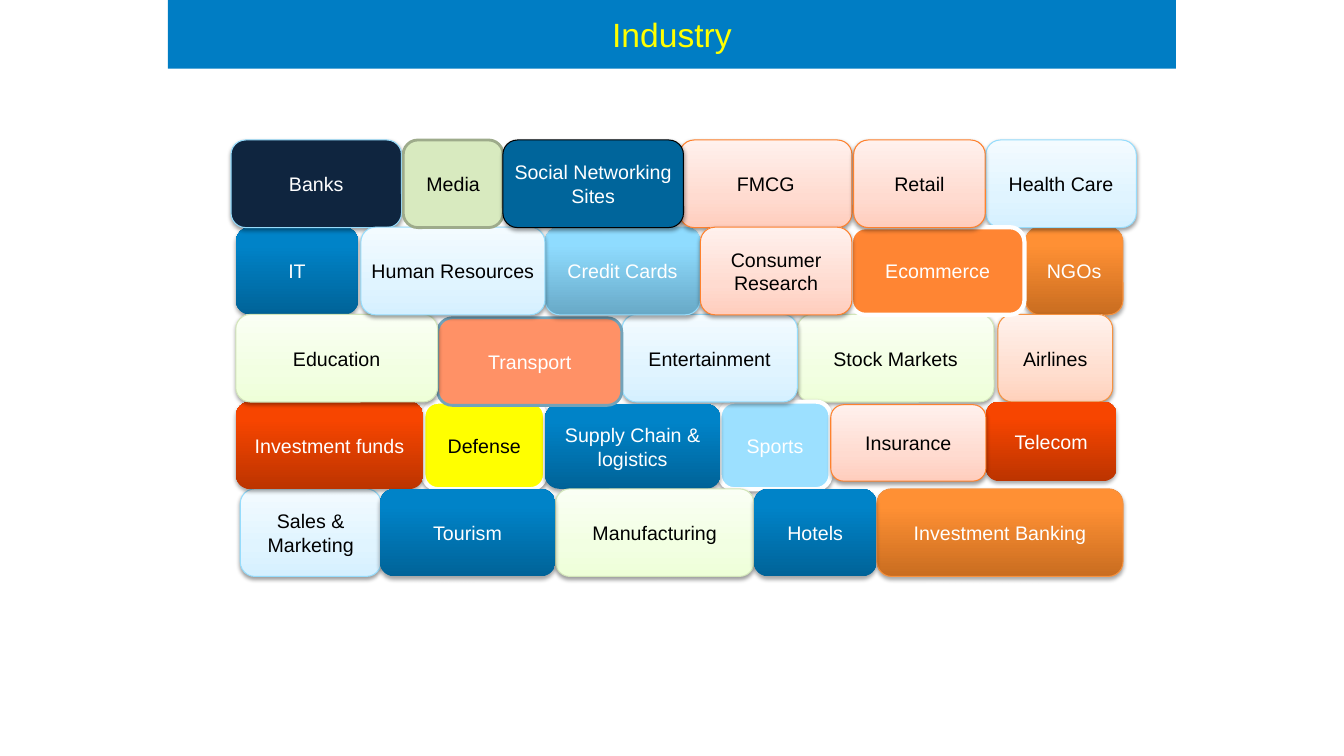
from copy import deepcopy
from dataclasses import dataclass

from pptx import Presentation
from pptx.dml.color import RGBColor
from pptx.enum.shapes import MSO_SHAPE as Kind
from pptx.enum.text import MSO_ANCHOR as Anchor, PP_ALIGN as Align
from pptx.oxml import parse_xml
from pptx.oxml.ns import nsdecls, qn
from pptx.shapes.autoshape import Shape
from pptx.util import Pt

TOP, PITCH, HIGH = 100, 62.3, 62.6
BLACK, WHITE = "000000", "FFFFFF"


@dataclass(frozen=True)
class Style:
    """Shade 38 is the soft shadow, 35 the deeper one, 0 none."""
    fills: tuple[str, ...]
    ink: str = BLACK
    line: str = ""
    weight: float = 0.75
    shade: int = 38
    mid: int = 35


@dataclass(frozen=True)
class Tile:
    text: str
    row: int
    left: float
    wide: float
    style: Style
    drop: float = 0
    high: float = HIGH


def deep(*fills: str, line: str = "") -> Style:
    return Style(fills, WHITE, line, shade=35, mid=80)


BLUE = deep("006398", "0083C8", "0083C9")
RED = deep("BC3400", "F74500", "F84500")
AMBER = deep("C96D20", "FF9034", "FF9035", line="F69240")
SKY = deep("68A9C7", "8FDCFF", "91DCFF", line="96DCFC")
ICE = Style(("D5F0FF", "E0F4FF", "F3FBFF"), line="96DCFC")
MINT = Style(("EEFFD8", "F2FFE2", "FAFFF4"), line="D3E6BA")
PEACH = Style(("FFD1BB", "FFDECF", "FFF2ED"), line="F69240")
ROSE = Style(("FFCDBD", "FFDBD0", "FFF1ED"), line="FE812D")
YELLOW = Style(("FFFF00",), line=WHITE, weight=3)
AQUA = Style(("9CE0FF",), WHITE, WHITE, 3)
NAVY = Style(("0F253F",), WHITE, "96DCFC")
OCEAN = Style(("00659B",), WHITE, BLACK)
CORAL = Style(("FF9166",), WHITE, "72A3BA", 2, 0)
ORANGE = Style(("FF8533",), WHITE, WHITE, 3, 0)
SAGE = Style(("D8EABF",), BLACK, "9EAB8B", 2, 0)

# Back to front: neighbours overlap slightly
TILES = [
    Tile("Defense", 3, 302.4, 87, YELLOW),
    Tile("NGOs", 1, 732.4, 69.8, AMBER),
    Tile("Stock Markets", 2, 569.5, 140.5, MINT),
    Tile("Airlines", 2, 712.8, 82, PEACH),
    Tile("Sports", 3, 514, 79.3, AQUA),
    Tile("Entertainment", 2, 444.3, 125.3, ICE),
    Tile("Supply Chain & logistics", 3, 389.3, 125.3, BLUE, 1.8, 60.4),
    Tile("IT", 1, 168.4, 87.6, BLUE),
    Tile("Sales & Marketing", 4, 171.6, 100.6, ICE),
    Tile("Banks", 0, 165, 121.8, NAVY),
    Tile("Health Care", 0, 704.2, 107.5, ICE),
    Tile("Telecom", 3, 704.2, 93.4, RED, 0, 56.8),
    Tile("Transport", 2, 312.6, 131.6, CORAL, 2.4),
    Tile("Investment funds", 3, 168.4, 134, RED),
    Tile("Education", 2, 168.4, 144.2, MINT),
    Tile("Credit Cards", 1, 389.3, 110.8, SKY),
    Tile("Ecommerce", 1, 607.8, 124, ORANGE),
    Tile("Human Resources", 1, 257.8, 131.4, ICE),
    Tile("Media", 0, 288, 71.4, SAGE),
    Tile("FMCG", 0, 485.4, 123.2, ROSE),
    Tile("Social Networking Sites", 0, 359.2, 129, OCEAN),
    Tile("Retail", 0, 609.8, 94, ROSE),
    Tile("Investment Banking", 4, 626.4, 175.8, AMBER),
    Tile("Consumer Research", 1, 500.3, 108.2, ROSE),
    Tile("Manufacturing", 4, 396.7, 142, MINT),
    Tile("Hotels", 4, 538.4, 87.8, BLUE),
    Tile("Tourism", 4, 271.4, 125.3, BLUE),
    Tile("Insurance", 3, 593.4, 110.8, ROSE, 2.2, 54.6),
]


def paint(hue: str) -> RGBColor:
    return RGBColor.from_string(hue)


def write(shape: Shape, text: str, *, size: float, ink: str, pad: float = 0) -> None:
    frame = shape.text_frame
    frame.word_wrap = True
    frame.vertical_anchor = Anchor.MIDDLE
    frame.margin_left = frame.margin_right = Pt(pad)
    frame.margin_top = frame.margin_bottom = Pt(pad)
    para = frame.paragraphs[0]
    para.alignment = Align.CENTER
    run = para.add_run()
    run.text = text
    run.font.name = "Arial"
    run.font.size = Pt(size)
    run.font.color.rgb = paint(ink)


def blend(shape: Shape, style: Style) -> None:
    """Fill with three stops that run from bottom to top."""
    shape.fill.gradient()
    shape.fill.gradient_angle = 90
    stops = shape._element.spPr.find(qn("a:gradFill")).find(qn("a:gsLst"))
    stops.insert(1, deepcopy(stops[0]))
    for stop, hue, spot in zip(shape.fill.gradient_stops, style.fills, (0, style.mid, 100)):
        stop.color.rgb = paint(hue)
        stop.position = spot / 100
    for node in stops:
        for tweak in list(node[0]):
            node[0].remove(tweak)


def cast(shape: Shape, shade: int) -> None:
    """Add a shadow straight below the shape."""
    gap = Pt(1.6 if shade == 38 else 1.8)
    shape._element.spPr.find(qn("a:effectLst")).append(parse_xml(
        f'<a:outerShdw {nsdecls("a")} blurRad="{Pt(3)}" dist="{gap}" dir="5400000"'
        f' rotWithShape="0"><a:srgbClr val="{BLACK}"><a:alpha val="{shade * 1000}"/>'
        '</a:srgbClr></a:outerShdw>'))


def block(shapes, kind: Kind, left: float, top: float, wide: float, high: float,
          style: Style) -> Shape:
    shape = shapes.add_shape(kind, Pt(left), Pt(top), Pt(wide), Pt(high))
    shape.shadow.inherit = False
    if len(style.fills) > 1:
        blend(shape, style)
    else:
        shape.fill.solid()
        shape.fill.fore_color.rgb = paint(style.fills[0])
    if style.line:
        shape.line.color.rgb = paint(style.line)
        shape.line.width = Pt(style.weight)
    else:
        shape.line.fill.background()
    if style.shade:
        cast(shape, style.shade)
    return shape


def main() -> None:
    deck = Presentation()
    deck.slide_width, deck.slide_height = Pt(960), Pt(540)
    shapes = deck.slides.add_slide(deck.slide_layouts[6]).shapes

    banner = Style(("007DC4",), "FFFF00", shade=0)
    title = block(shapes, Kind.RECTANGLE, 120, 0, 720, 49, banner)
    write(title, "Industry", size=24, ink=banner.ink)

    for tile in TILES:
        top = TOP + PITCH * tile.row + tile.drop
        shape = block(shapes, Kind.ROUNDED_RECTANGLE, tile.left, top,
                      tile.wide, tile.high, tile.style)
        write(shape, tile.text, size=14, ink=tile.style.ink, pad=3)

    deck.save("out.pptx")


if __name__ == "__main__":
    main()
